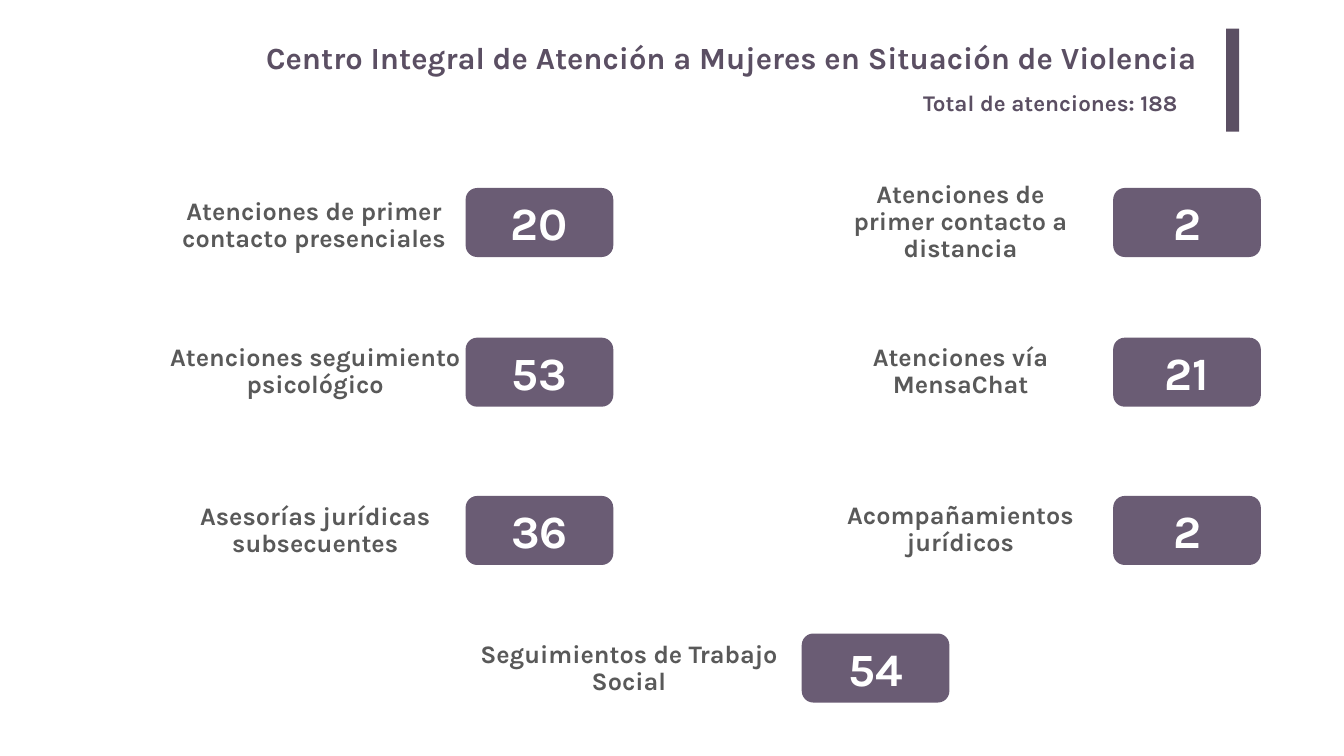
from pptx import Presentation
from pptx.dml.color import RGBColor
from pptx.enum.shapes import MSO_SHAPE
from pptx.enum.text import MSO_ANCHOR, PP_ALIGN
from pptx.util import Inches, Pt

PLUM = RGBColor(0x5B, 0x4F, 0x63)
MAUVE = RGBColor(0x6A, 0x5C, 0x74)
GRAY = RGBColor(0x59, 0x59, 0x59)
WHITE = RGBColor(0xFF, 0xFF, 0xFF)
FONT = "Karla"

LEFT, RIGHT, MID = 9.24, 22.09, 15.91  # badge columns
ROWS = (3.73, 6.7, 9.84, 12.57)        # badge tops

# Label, its box (left, top, width, height), count, badge left and top
ITEMS = [
    ("Atenciones de primer contacto presenciales",
     (3.49, 3.8, 5.48, 1.37), 20, LEFT, ROWS[0]),
    ("Atenciones de primer contacto a distancia",
     (16.48, 3.81, 5.16, 1.21), 2, RIGHT, ROWS[0]),
    ("Atenciones seguimiento psicológico",
     (2.35, 7.12, 7.81, 0.53), 53, LEFT, ROWS[1]),
    ("Atenciones vía MensaChat",
     (16.1, 6.86, 5.92, 1.05), 21, RIGHT, ROWS[1]),
    ("Asesorías jurídicas subsecuentes",
     (3.23, 10.13, 6.05, 0.8), 36, LEFT, ROWS[2]),
    ("Acompañamientos jurídicos",
     (15.83, 10.2, 6.46, 0.64), 2, RIGHT, ROWS[2]),
    ("Seguimientos de Trabajo Social",
     (9.24, 12.57, 6.48, 1.41), 54, MID, ROWS[3]),
]


def write(shape, text, size, color, align, anchor=MSO_ANCHOR.MIDDLE):
    frame = shape.text_frame
    frame.word_wrap = True
    frame.vertical_anchor = anchor
    para = frame.paragraphs[0]
    para.text = text
    para.alignment = align
    font = para.font
    font.name, font.size, font.bold = FONT, Pt(size), True
    font.color.rgb = color
    return frame


def add_text(slide, box, *style):
    shape = slide.shapes.add_textbox(*map(Inches, box))
    return write(shape, *style)


def add_block(slide, kind, box, color):
    shape = slide.shapes.add_shape(kind, *map(Inches, box))
    shape.shadow.inherit = False
    shape.fill.solid()
    shape.fill.fore_color.rgb = color
    shape.line.fill.background()
    return shape


def add_label(slide, box, text):
    frame = add_text(slide, box, text, 36, GRAY, PP_ALIGN.CENTER)
    frame.paragraphs[0].line_spacing = 0.9


def add_badge(slide, left, top, count):
    box = (left, top, 2.93, 1.37)
    badge = add_block(slide, MSO_SHAPE.ROUNDED_RECTANGLE, box, MAUVE)
    write(badge, str(count), 66, WHITE, PP_ALIGN.CENTER)


def add_head(slide):
    frame = add_text(slide, (3.66, 0.67, 20.3, 1.02),
                     "Centro Integral de Atención a Mujeres en Situación de Violencia",
                     44, PLUM, PP_ALIGN.RIGHT, MSO_ANCHOR.TOP)
    frame.margin_left = frame.margin_right = Inches(0.2)
    frame.margin_top = frame.margin_bottom = Inches(0.1)
    add_block(slide, MSO_SHAPE.RECTANGLE, (24.33, 0.57, 0.26, 2.04), PLUM)
    add_text(slide, (18.22, 1.71, 5.92, 0.64), "Total de atenciones: 188",
             32, PLUM, PP_ALIGN.LEFT, MSO_ANCHOR.TOP)


def main():
    deck = Presentation()
    deck.slide_width, deck.slide_height = Inches(26.67), Inches(15)
    slide = deck.slides.add_slide(deck.slide_layouts[6])

    # Title, total and side bar
    add_head(slide)

    # Labels with their counts
    for text, box, count, left, top in ITEMS:
        add_label(slide, box, text)
        add_badge(slide, left, top, count)

    deck.save("out.pptx")


if __name__ == "__main__":
    main()
